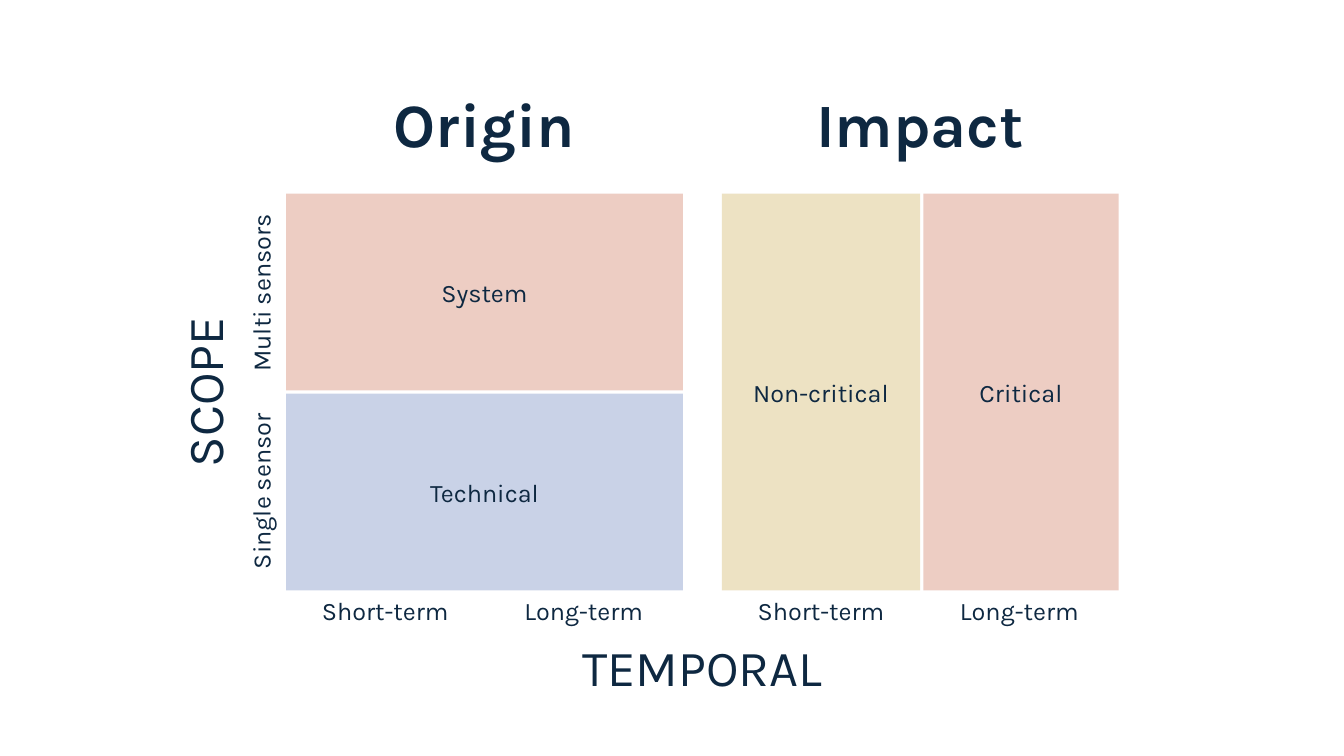
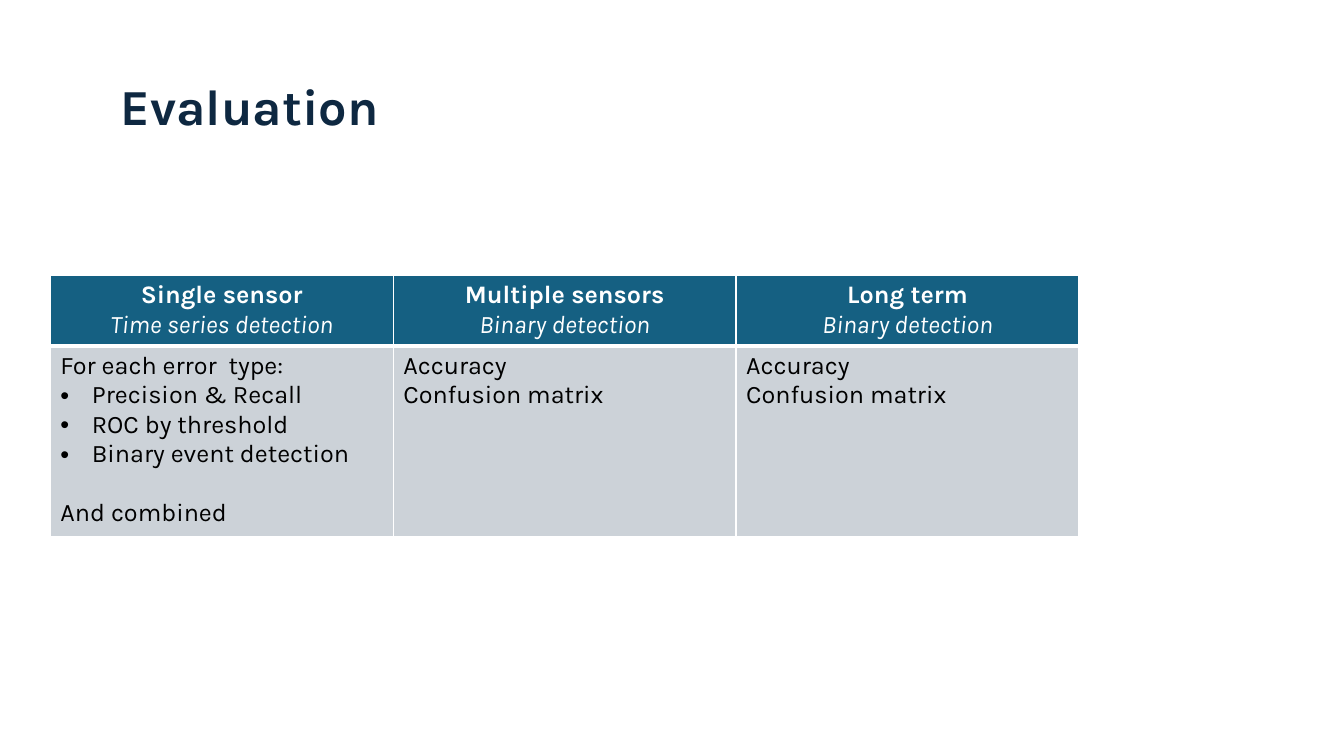
from dataclasses import dataclass

from lxml import etree
from pptx import Presentation
from pptx.dml.color import RGBColor
from pptx.enum import shapes, text
from pptx.oxml.ns import qn
from pptx.util import Cm, Pt


@dataclass(frozen=True)
class Theme:
    font: str = "Karla"
    ink: str = "0E2841"
    white: str = "FFFFFF"
    black: str = "000000"
    head: str = "156082"
    body: str = "CCD2D8"
    red: str = "C55A3A"
    blue: str = "4E6BB1"
    gold: str = "C5A03A"
    tint: int = 30
    small: int = 18
    large: int = 36
    huge: int = 44


T = Theme()
MID = text.PP_ALIGN.CENTER
LEFT = text.PP_ALIGN.LEFT

# Panels: title, left edge, split direction, size of first tile, tiles
PANELS = [
    ("Origin", 7.21, "rows", 4.96, [("System", T.red), ("Technical", T.blue)]),
    ("Impact", 18.19, "cols", 5, [("Non-critical", T.gold), ("Critical", T.red)]),
]
TERMS = ["Short-term", "Long-term"]
SCOPES = ["Multi sensors", "Single sensor"]
SIDE, TOP, GAP = 10, 4.88, 0.08

HEADS = [
    ("Single sensor", "Time series detection"),
    ("Multiple sensors", "Binary detection"),
    ("Long term", "Binary detection"),
]
# Cell lines: kind, words
SCORES = [("plain", "Accuracy"), ("plain", "Confusion matrix")]
CELLS = [
    [
        ("plain", "For each error  type:"),
        ("bullet", "Precision & Recall"),
        ("bullet", "ROC by threshold"),
        ("bullet", "Binary event detection"),
        ("apart", "And combined"),
    ],
    SCORES,
    SCORES,
]


def rgb(code):
    return RGBColor.from_string(code)


def write(par, words, size=T.small, color=T.ink, bold=False, italic=False, align=MID):
    par.alignment = align
    run = par.add_run()
    run.text = words
    font = run.font
    font.name, font.size = T.font, Pt(size)
    font.bold, font.italic = bold, italic
    font.color.rgb = rgb(color)


def label(slide, words, left, top, width, height, turn=0,
          anchor=text.MSO_ANCHOR.MIDDLE, **style):
    box = slide.shapes.add_textbox(Cm(left), Cm(top), Cm(width), Cm(height))
    box.rotation = turn
    frame = box.text_frame
    frame.word_wrap = True
    frame.vertical_anchor = anchor
    write(frame.paragraphs[0], words, **style)


def upright(slide, words, mid_x, mid_y, length, height, **style):
    """Add a label that reads upwards, placed by its centre."""
    label(slide, words, mid_x - length / 2, mid_y - height / 2,
          length, height, turn=270, **style)


def tile(slide, words, color, left, top, width, height):
    box = slide.shapes.add_shape(shapes.MSO_SHAPE.RECTANGLE,
                                 Cm(left), Cm(top), Cm(width), Cm(height))
    box.shadow.inherit = False
    box.line.fill.background()
    box.fill.solid()
    box.fill.fore_color.rgb = rgb(color)
    paint = box.fill._xPr.find(qn("a:solidFill"))[0]
    etree.SubElement(paint, qn("a:alpha"), val=str(T.tint * 1000))
    box.text_frame.vertical_anchor = text.MSO_ANCHOR.MIDDLE
    write(box.text_frame.paragraphs[0], words)


def panel(slide, title, left, split, first, tiles):
    label(slide, title, left, 2.03, SIDE, 2.13, size=T.huge, bold=True)
    spans = [(0, first), (first + GAP, SIDE - first - GAP)]
    for (words, color), (start, span) in zip(tiles, spans):
        if split == "rows":
            tile(slide, words, color, left, TOP + start, SIDE, span)
        else:
            tile(slide, words, color, left + start, TOP, span, SIDE)
    half = SIDE / len(TERMS)
    for i, term in enumerate(TERMS):
        label(slide, term, left + i * half, TOP + SIDE, half, 1.02)


def matrix(slide):
    for item in PANELS:
        panel(slide, *item)
    half = SIDE / len(SCOPES)
    for i, scope in enumerate(SCOPES):
        upright(slide, scope, 6.57, TOP + (i + 0.5) * half, half, 1.02)
    upright(slide, "SCOPE", 5.13, TOP + SIDE / 2, SIDE, 1.8, size=T.large)
    left = PANELS[0][1]
    width = PANELS[-1][1] + SIDE - left
    label(slide, "TEMPORAL", left, 15.9, width, 1.8, size=T.large)


def dress(cell, color, **wide):
    """Fill a cell and give it white borders; wide names the thicker sides."""
    cell.fill.solid()
    cell.fill.fore_color.rgb = rgb(color)
    props = cell._tc.get_or_add_tcPr()
    for i, side in enumerate("LRTB"):
        line = etree.Element(qn("a:ln" + side), w=str(Pt(wide.get(side, 1))))
        fill = etree.SubElement(line, qn("a:solidFill"))
        etree.SubElement(fill, qn("a:srgbClr"), val=T.white)
        props.insert(i, line)


def bullet(par):
    props = par._p.get_or_add_pPr()
    props.set("marL", str(Cm(0.79)))
    props.set("indent", str(Cm(-0.79)))
    etree.SubElement(props, qn("a:buFont"), typeface="Arial")
    etree.SubElement(props, qn("a:buChar"), char="•")


def fill_head(cell, name, task):
    dress(cell, T.head, B=3)
    frame = cell.text_frame
    write(frame.paragraphs[0], name, color=T.white, bold=True)
    write(frame.add_paragraph(), task, color=T.white, italic=True)


def fill_body(cell, lines):
    dress(cell, T.body, T=3)
    frame = cell.text_frame
    for i, (kind, words) in enumerate(lines):
        par = frame.add_paragraph() if i else frame.paragraphs[0]
        if kind == "bullet":
            bullet(par)
        elif kind == "apart":
            par.space_before = Pt(21)
        write(par, words, color=T.black, align=LEFT)


def scoring(slide):
    label(slide, "Evaluation", 2.79, 1.78, 13.5, 2.5, size=T.large, bold=True,
          align=LEFT, anchor=text.MSO_ANCHOR.TOP)
    wide, tall = 8.64, (1.72, 4.72)
    count = len(HEADS)
    grid = slide.shapes.add_table(len(tall), count, Cm(1.27), Cm(6.94),
                                  Cm(wide * count), Cm(sum(tall))).table
    for row, height in zip(grid.rows, tall):
        row.height = Cm(height)
    for i, (head, lines) in enumerate(zip(HEADS, CELLS)):
        grid.columns[i].width = Cm(wide)
        fill_head(grid.cell(0, i), *head)
        fill_body(grid.cell(1, i), lines)


def main():
    deck = Presentation()
    deck.slide_width, deck.slide_height = Cm(33.87), Cm(19.05)
    for build in (matrix, scoring):
        build(deck.slides.add_slide(deck.slide_layouts[6]))
    deck.save("out.pptx")


if __name__ == "__main__":
    main()
